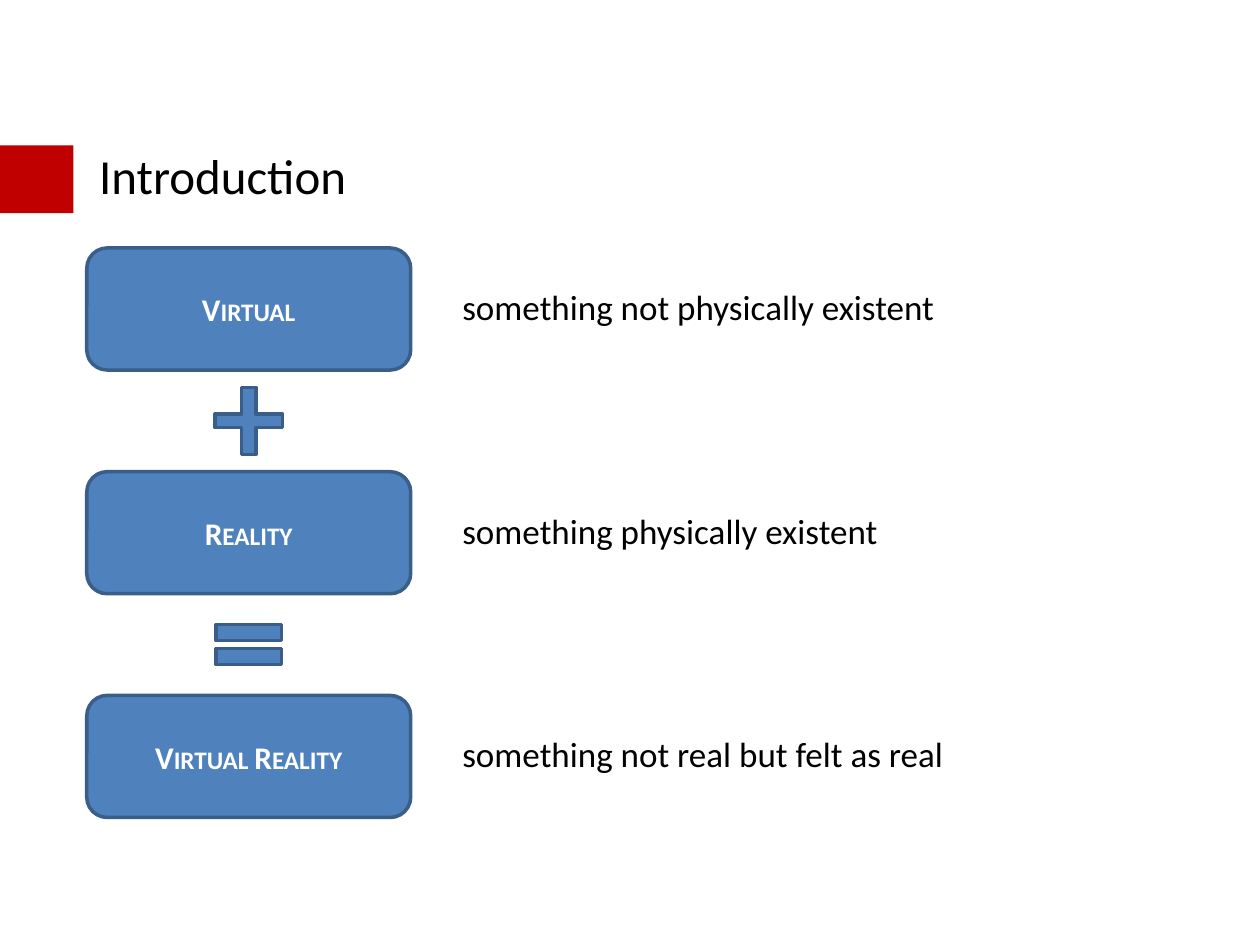
"""Build the slide that adds up the meaning of virtual reality."""
from typing import NamedTuple

from pptx import Presentation
from pptx.dml.color import RGBColor
from pptx.enum.shapes import MSO_SHAPE
from pptx.enum.text import MSO_ANCHOR, PP_ALIGN
from pptx.util import Cm, Pt

RECT = MSO_SHAPE.RECTANGLE
ROUND = MSO_SHAPE.ROUNDED_RECTANGLE
PLUS = MSO_SHAPE.CROSS
EQUAL = MSO_SHAPE.MATH_EQUAL
MIDDLE = MSO_ANCHOR.MIDDLE
LEFT, CENTER = PP_ALIGN.LEFT, PP_ALIGN.CENTER

FONT = "Calibri"
RED, BLUE, EDGE = "C00000", "4F81BD", "395E89"
BLACK, WHITE = "000000", "FFFFFF"

BOX_X, BOX_Y, BOX_W, BOX_H = 1.75, 5.0, 6.53, 2.46
PITCH = 4.51
NOTE_X, NOTE_W = 9.07, 14.3


class Area(NamedTuple):
    x: float
    y: float
    w: float
    h: float


class Term(NamedTuple):
    name: str
    note: str


class Sign(NamedTuple):
    kind: MSO_SHAPE
    w: float
    h: float
    adjust: tuple


TERMS = [
    Term("Virtual", "something not physically existent"),
    Term("Reality", "something physically existent"),
    Term("Virtual Reality", "something not real but felt as real"),
]
SIGNS = [
    Sign(PLUS, 1.37, 1.35, (0.4,)),
    Sign(EQUAL, 1.8, 1.37, (0.235, 0.118)),
]


def color(code: str) -> RGBColor:
    """Turn a hex string into a colour."""
    return RGBColor.from_string(code)


def add_block(slide, kind, area: Area, fill: str, edge: str = "", adjust=()):
    """Draw a filled shape, with an outline if an edge colour is given."""
    shape = slide.shapes.add_shape(kind, *map(Cm, area))
    shape.shadow.inherit = False
    shape.fill.solid()
    shape.fill.fore_color.rgb = color(fill)
    if edge:
        shape.line.color.rgb = color(edge)
        shape.line.width = Pt(2)
    else:
        shape.line.fill.background()
    for i, value in enumerate(adjust):
        shape.adjustments[i] = value
    return shape


def write(shape, text: str, size: int, ink: str, align=LEFT, space: float = 0.9):
    """Set one paragraph in a shape and return it."""
    frame = shape.text_frame
    frame.word_wrap = True
    frame.vertical_anchor = MIDDLE
    para = frame.paragraphs[0]
    para.text = text
    para.alignment = align
    para.line_spacing = space
    para.font.name = FONT
    para.font.size = Pt(size)
    para.font.color.rgb = color(ink)
    return para


def add_text(slide, area: Area, text: str, size: int) -> None:
    """Add a plain text box."""
    write(slide.shapes.add_textbox(*map(Cm, area)), text, size, BLACK)


def add_term(slide, term: Term, y: float) -> None:
    """Draw a term in its box with the note beside it."""
    add_text(slide, Area(NOTE_X, y, NOTE_W, BOX_H), term.note, 20)
    box = add_block(slide, ROUND, Area(BOX_X, y, BOX_W, BOX_H), BLUE, EDGE, (0.167,))
    para = write(box, term.name, 18, WHITE, CENTER, 1.0)
    para.font.bold = True
    para.runs[0]._r.get_or_add_rPr().set("cap", "small")


def add_sign(slide, sign: Sign, mid: float) -> None:
    """Draw a sign centred under the boxes at the given height."""
    area = Area(BOX_X + (BOX_W - sign.w) / 2, mid - sign.h / 2, sign.w, sign.h)
    add_block(slide, sign.kind, area, BLUE, EDGE, sign.adjust)


def main() -> None:
    """Build and save the slide."""
    deck = Presentation()
    deck.slide_width, deck.slide_height = Cm(25.4), Cm(19.05)
    slide = deck.slides.add_slide(deck.slide_layouts[6])
    add_block(slide, RECT, Area(0, 2.93, 1.48, 1.37), RED)
    add_text(slide, Area(BOX_X, 2.95, 21.9, 1.32), "Introduction", 28)
    for i, term in enumerate(TERMS):
        add_term(slide, term, BOX_Y + i * PITCH)
    for i, sign in enumerate(SIGNS):
        add_sign(slide, sign, BOX_Y + i * PITCH + (BOX_H + PITCH) / 2)
    deck.save("out.pptx")


if __name__ == "__main__":
    main()
